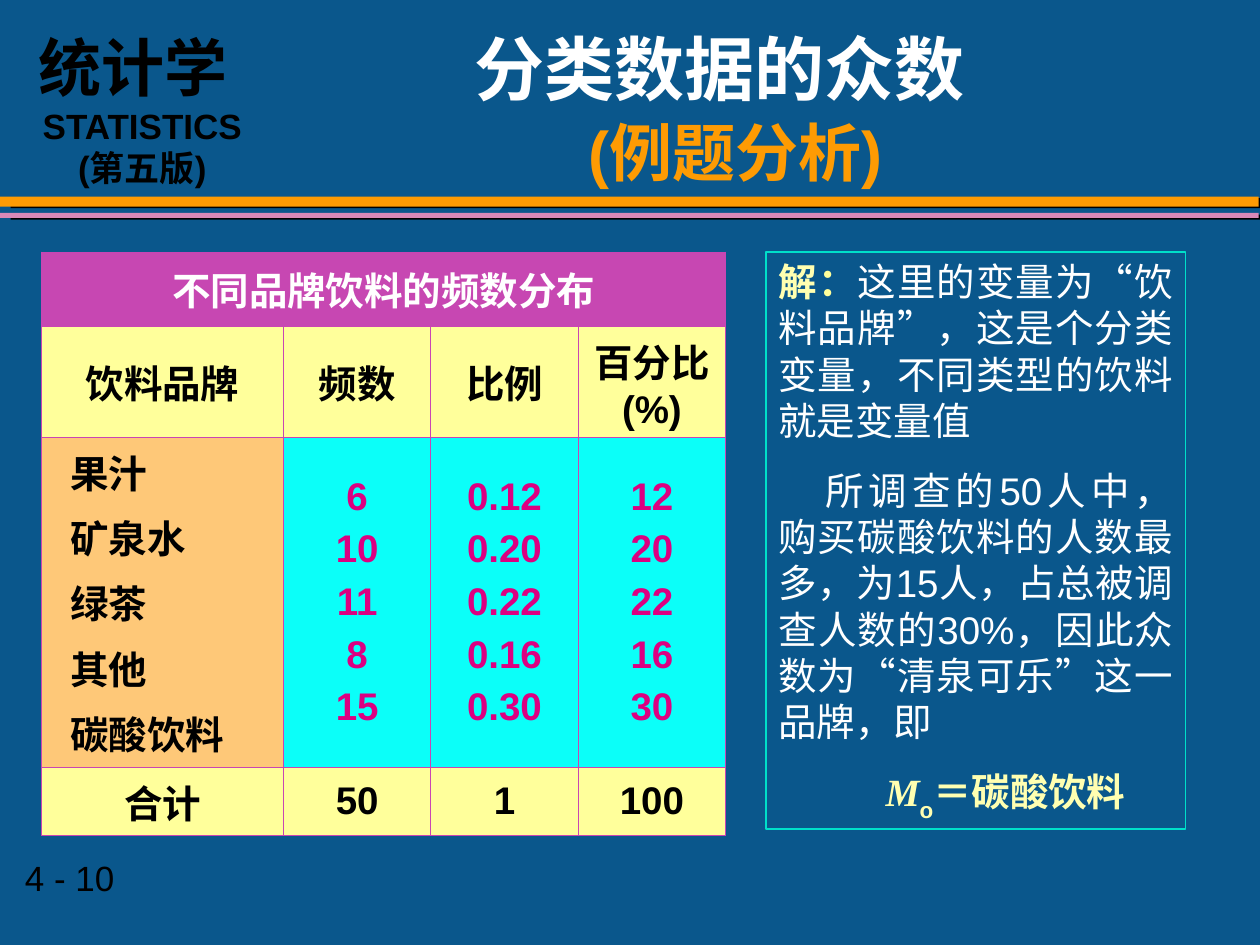
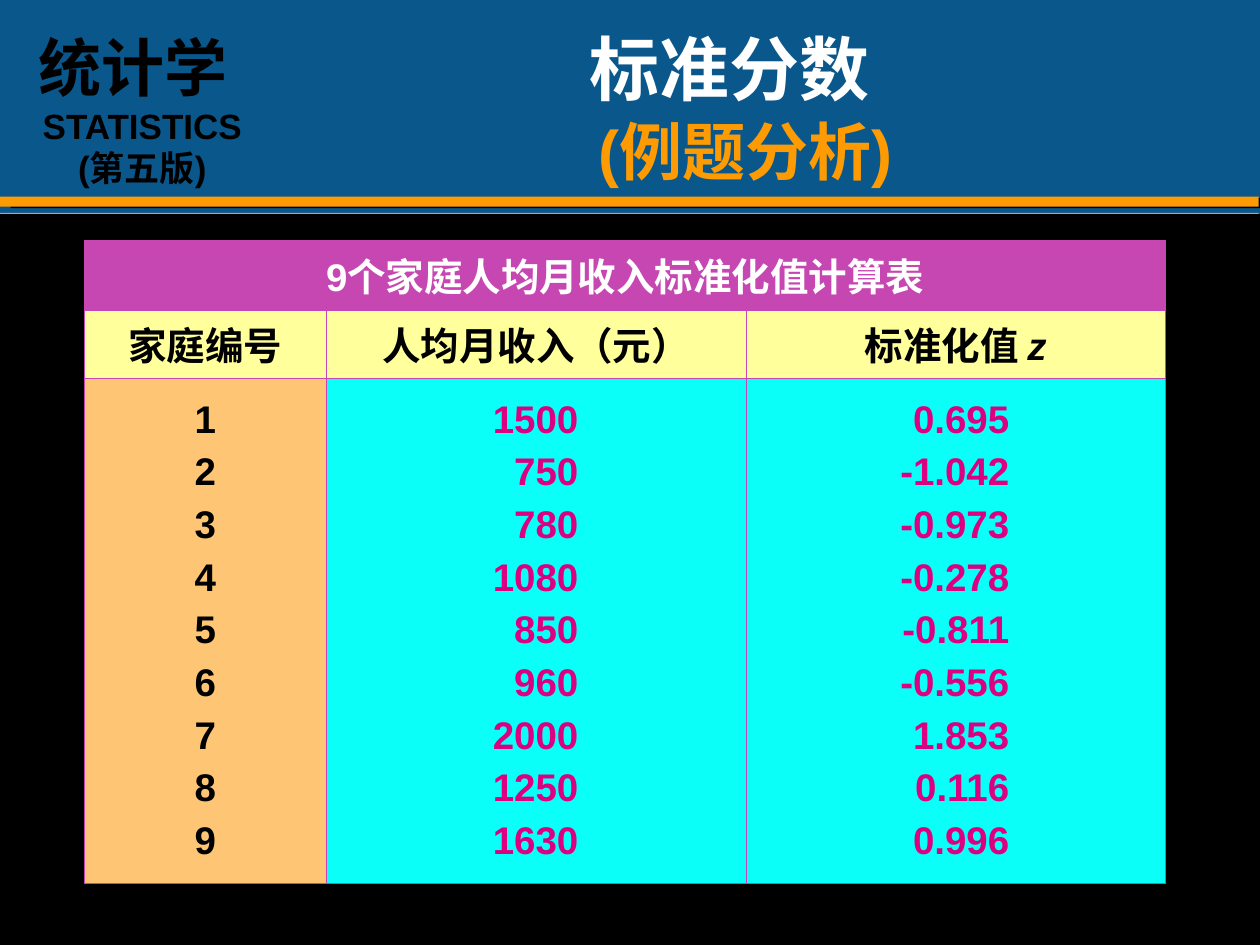
"""Build two statistics slides: the mode of categorical data and standard scores."""
from lxml import etree
from pptx import Presentation
from pptx.dml.color import RGBColor
from pptx.enum.shapes import MSO_SHAPE as SHAPE
from pptx.enum.text import MSO_ANCHOR as ANCHOR, PP_ALIGN as ALIGN
from pptx.oxml import parse_xml
from pptx.oxml.ns import nsdecls, qn
from pptx.util import Inches, Pt

BLUE, BLACK, WHITE = "0A578C", "000000", "FFFFFF"
ORANGE, ROSE, PURPLE, GRID = "FE9B03", "D989B8", "C747B2", "C945B3"
YELLOW, PALE, CYAN, MAGENTA, TEAL = "FFFF9B", "FFFFB1", "0BFFF9", "DC0081", "00DFCA"

BANDS = [(1.56, 0.08, ORANGE), (1.69, 0.04, ROSE)]
COURSE = [
    dict(runs=[("统计学", dict(size=36))]),
    dict(runs=[("STATISTICS", {})], left=0.14),
    dict(runs=[("(第五版)", {})], left=0.14),
]
SUBTITLE = "(例题分析)"

DRINKS = dict(
    at=(0.33, 2), cols=[1.92, 1.17, 1.17, 1.17], rows=[0.59, 0.88, 2.62, 0.54],
    caption="不同品牌饮料的频数分布",
    head=["饮料品牌", "频数", "比例", "百分比(%)"],
    labels=["果汁", "矿泉水", "绿茶", "其他", "碳酸饮料"], label_fill="FEC878",
    values=[["6", "10", "11", "8", "15"],
            ["0.12", "0.20", "0.22", "0.16", "0.30"],
            ["12", "20", "22", "16", "30"]],
    total=["合计", "50", "1", "100"],
    left={0: 0.23}, right={},
)
INCOMES = dict(
    at=(0.67, 1.91), cols=[1.92, 3.33, 3.33], rows=[0.55, 0.54, 4.01],
    caption="9个家庭人均月收入标准化值计算表",
    head=["家庭编号", "人均月收入（元）", [("标准化值 ", {}), ("z", dict(italic=True))]],
    labels=[str(n) for n in range(1, 10)], label_fill="FEC674",
    values=[["1500", "750", "780", "1080", "850", "960", "2000", "1250", "1630"],
            ["0.695", "-1.042", "-0.973", "-0.278", "-0.811", "-0.556",
             "1.853", "0.116", "0.996"]],
    total=None,
    left={}, right={1: 1.33, 2: 1.24},
)
SOLUTION = [
    dict(runs=[("解", dict(bold=True, color=PALE)), ("：", dict(bold=True, color=YELLOW)),
               ("这里的变量为“饮料品牌”，这是个分类变量，不同类型的饮料就是变量值", {})]),
    dict(runs=[("所调查的50人中，购买碳酸饮料的人数最多，为15人，占总被调查人数的30%，"
                "因此众数为“清泉可乐”这一品牌，即", {})], indent=0.37),
    dict(runs=[("M", dict(bold=True, italic=True, color=PALE, font="Times New Roman")),
               ("o", dict(bold=True, color=PALE, sub=True)),
               ("＝碳酸饮料", dict(bold=True, color=PALE))], indent=0.85),
]


def rgb(color):
    return RGBColor.from_string(color)


def write(tf, paras, align=ALIGN.CENTER, gap=0, **base):
    """Fill a text frame; each paragraph is a string, a run list or a dict."""
    tf.word_wrap = True
    for i, para in enumerate(paras):
        if not isinstance(para, dict):
            para = dict(runs=[(para, {})] if isinstance(para, str) else para)
        p = tf.paragraphs[0] if i == 0 else tf.add_paragraph()
        p.alignment = align
        if i and gap:
            p.space_before = Pt(gap)
        if "line" in para:
            p.line_spacing = para["line"]
        for key, attr in (("left", "marL"), ("indent", "indent")):
            if key in para:
                p._p.get_or_add_pPr().set(attr, str(Inches(para[key])))
        for text, own in para["runs"]:
            style = {**dict(size=22, font="Arial", color=BLACK, bold=False), **base, **own}
            r = p.add_run()
            r.text = text
            r.font.size, r.font.name = Pt(style["size"]), style["font"]
            r.font.bold, r.font.italic = style["bold"], style.get("italic", False)
            r.font.color.rgb = rgb(style["color"])
            if style.get("sub"):
                r._r.get_or_add_rPr().set("baseline", "-30000")


def add_box(slide, x, y, w, h, paras, anchor=ANCHOR.TOP, **style):
    tf = slide.shapes.add_textbox(*map(Inches, (x, y, w, h))).text_frame
    tf.vertical_anchor = anchor
    write(tf, paras, **style)
    return tf


def add_rect(slide, x, y, w, h, fill=None, line=None):
    sp = slide.shapes.add_shape(SHAPE.RECTANGLE, *map(Inches, (x, y, w, h)))
    sp.shadow.inherit = False
    if fill:
        sp.fill.solid()
        sp.fill.fore_color.rgb = rgb(fill)
    else:
        sp.fill.background()
    if line:
        sp.line.color.rgb, sp.line.width = rgb(line), Pt(1)
    else:
        sp.line.fill.background()
    return sp


def add_frame(prs):
    """Add a slide with the background, bands and course name."""
    slide = prs.slides.add_slide(prs.slide_layouts[6])
    slide.background.fill.solid()
    slide.background.fill.fore_color.rgb = rgb(BLUE)
    for y, h, color in BANDS:
        sp = add_rect(slide, 0, y, 9.99, h, color)
        effects = sp._element.spPr.find(qn("a:effectLst"))
        effects.append(parse_xml(
            f'<a:outerShdw {nsdecls("a")} blurRad="0" dist="{Pt(6.1)}" dir="540000" '
            f'algn="ctr" rotWithShape="0"><a:srgbClr val="{BLACK}"/></a:outerShdw>'))
    add_box(slide, 0.06, 0.18, 2, 1.36, COURSE, size=20, bold=True)
    return slide


def add_title(slide, x, y, h, title):
    lines = [
        dict(runs=[(title, dict(size=40, color=WHITE, font="TeX Gyre Pagella"))], line=0.95),
        dict(runs=[(SUBTITLE, dict(size=36, color=ORANGE))], line=1.02, left=0.25),
    ]
    add_box(slide, x, y, 7.42, h, lines, ANCHOR.MIDDLE, bold=True)


def fill_cell(cell, paras, fill, color, **style):
    tcPr = cell._tc.get_or_add_tcPr()
    for side in ("lnL", "lnR", "lnT", "lnB"):
        ln = etree.SubElement(tcPr, qn(f"a:{side}"), w=str(Pt(0.45)))
        etree.SubElement(etree.SubElement(ln, qn("a:solidFill")), qn("a:srgbClr"), val=GRID)
    cell.fill.solid()
    cell.fill.fore_color.rgb = rgb(fill)
    cell.vertical_anchor = ANCHOR.MIDDLE
    write(cell.text_frame, paras, gap=5.5, color=color, bold=True, **style)


def add_data_table(slide, data):
    cols, rows = data["cols"], data["rows"]
    size = (*data["at"], sum(cols), sum(rows))
    table = slide.shapes.add_table(len(rows), len(cols), *map(Inches, size)).table
    table.first_row = table.horz_banding = False
    for col, w in zip(table.columns, cols):
        col.width = Inches(w)
    for row, h in zip(table.rows, rows):
        row.height = Inches(h)
    table.cell(0, 0).merge(table.cell(0, len(cols) - 1))
    fill_cell(table.cell(0, 0), [data["caption"]], PURPLE, WHITE)
    for c, paras in enumerate([data["labels"], *data["values"]]):
        fill_cell(table.cell(1, c), [data["head"][c]], YELLOW, BLACK)
        cell, align = table.cell(2, c), ALIGN.CENTER
        if c in data["left"]:
            cell.margin_left, align = Inches(data["left"][c]), ALIGN.LEFT
        if c in data["right"]:
            cell.margin_right, align = Inches(data["right"][c]), ALIGN.RIGHT
        fill, color = (CYAN, MAGENTA) if c else (data["label_fill"], BLACK)
        fill_cell(cell, paras, fill, color, align=align)
        if data["total"]:
            fill_cell(table.cell(3, c), [data["total"][c]], YELLOW, BLACK)


def build_mode_slide(prs):
    slide = add_frame(prs)
    number = add_box(slide, 0.1, 6.75, 1.87, 0.43, ["4 - 10"], align=ALIGN.LEFT, size=20)
    number.word_wrap = False
    add_title(slide, 2, 0.25, 1.25, "分类数据的众数")
    add_data_table(slide, DRINKS)
    tf = add_rect(slide, 6.08, 2, 3.33, 4.58, line=TEAL).text_frame
    tf.vertical_anchor = ANCHOR.TOP
    write(tf, SOLUTION, ALIGN.JUSTIFY, gap=13.8, color=WHITE)


def build_score_slide(prs):
    slide = add_frame(prs)
    add_rect(slide, 0, 1.7, 10, 5.8, BLACK)
    add_title(slide, 2.08, 0.33, 1.08, "标准分数")
    add_data_table(slide, INCOMES)


def main():
    prs = Presentation()
    prs.slide_width, prs.slide_height = Inches(10), Inches(7.5)
    build_mode_slide(prs)
    build_score_slide(prs)
    prs.save("out.pptx")


if __name__ == "__main__":
    main()
